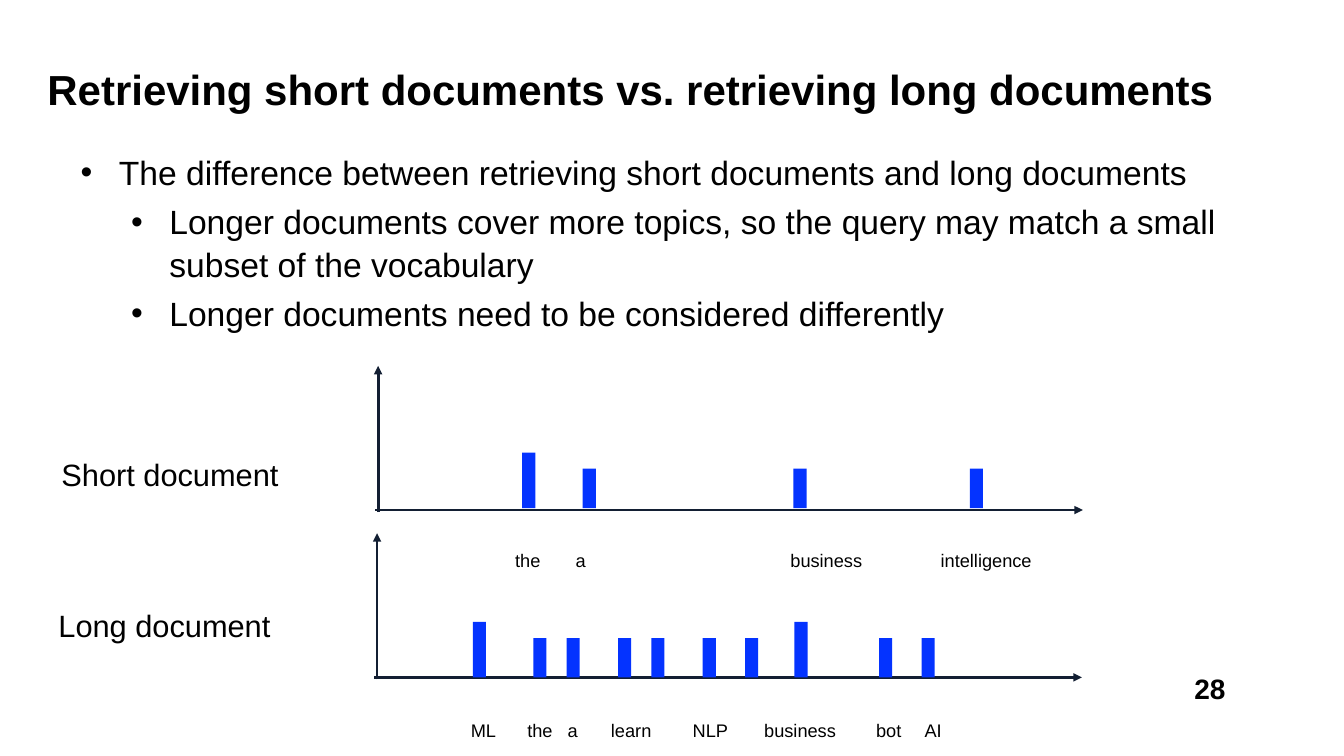
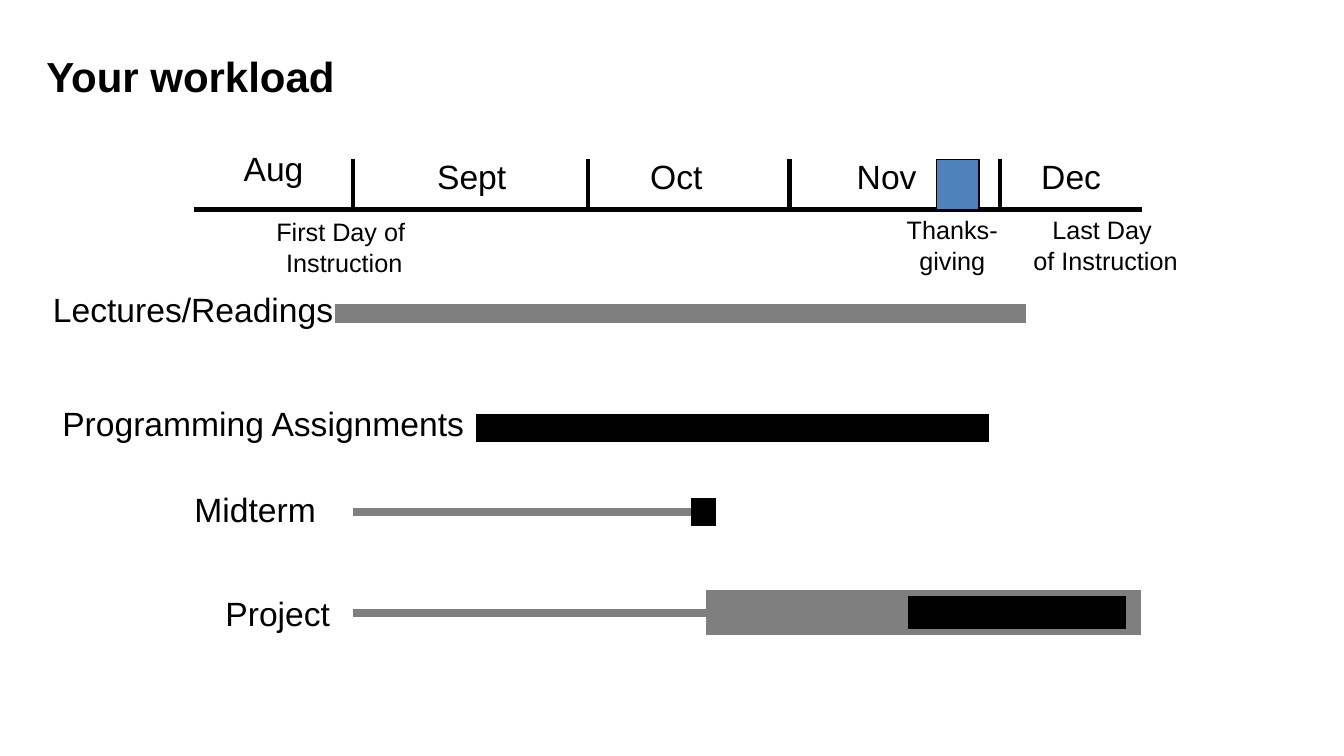
from pptx import Presentation
from pptx.dml.color import RGBColor
from pptx.enum.shapes import MSO_CONNECTOR, MSO_SHAPE
from pptx.enum.text import MSO_ANCHOR, MSO_AUTO_SIZE, PP_ALIGN
from pptx.oxml.ns import qn
from pptx.util import Inches, Pt
from lxml import etree

LEFT, CENTER = PP_ALIGN.LEFT, PP_ALIGN.CENTER
TOP = MSO_ANCHOR.TOP
FIT, FIXED = MSO_AUTO_SIZE.SHAPE_TO_FIT_TEXT, MSO_AUTO_SIZE.NONE
RECT, LINE = MSO_SHAPE.RECTANGLE, MSO_CONNECTOR.STRAIGHT
FONT = "Arial"
BLACK, GREY, NAVY = "000000", "7F7F7F", "131F33"
BLUE, STEEL = "0433FF", "4F81BD"


def color(code):
    """Turn a hex string into a colour."""
    return RGBColor.from_string(code)


def bullet(para, level):
    """Give a paragraph a hanging bullet at its level."""
    para.level = level
    props = para._p.get_or_add_pPr()
    props.set("marL", str(Inches(0.38 + 0.5 * level)))
    props.set("indent", str(Inches(-0.38)))
    etree.SubElement(props, qn("a:buFont")).set("typeface", FONT)
    etree.SubElement(props, qn("a:buChar")).set("char", "•")


def write(slide, text, x, y, w, h, size=24, bold=False, align=LEFT,
          wrap=False, inset=0.05, space=None, levels=None):
    """Add a text box with one paragraph for each line of text."""
    box = slide.shapes.add_textbox(Inches(x), Inches(y), Inches(w), Inches(h))
    frame = box.text_frame
    frame.word_wrap = wrap
    frame.auto_size = FIXED if wrap else FIT
    frame.vertical_anchor = TOP
    frame.margin_left = frame.margin_right = Inches(inset)
    frame.margin_top = frame.margin_bottom = Inches(inset)
    for i, line in enumerate(text.split("\n")):
        para = frame.add_paragraph() if i else frame.paragraphs[0]
        if levels:
            bullet(para, levels[i])
            if i:
                para.space_before = Pt(5)
        para.alignment = align
        if space:
            para.line_spacing = space
        run = para.add_run()
        run.text = line
        font = run.font
        font.name, font.size, font.bold = FONT, Pt(size), bold
        font.color.rgb = color(BLACK)


def title(slide, text, x, y, w, h):
    """Add the slide title."""
    write(slide, text, x, y, w, h, size=30, bold=True, wrap=True)


def line(slide, x1, y1, x2, y2, width, shade=BLACK, arrow=False):
    """Add a straight line, with an arrowhead at its end if asked."""
    link = slide.shapes.add_connector(
        LINE, Inches(x1), Inches(y1), Inches(x2), Inches(y2))
    link.line.color.rgb = color(shade)
    link.line.width = Pt(width)
    if arrow:
        stroke = link.line._get_or_add_ln()
        etree.SubElement(stroke, qn("a:tailEnd")).set("type", "triangle")
    etree.SubElement(link._element.spPr, qn("a:effectLst"))


def block(slide, x, y, w, h, fill, edge=None):
    """Add a filled rectangle."""
    rect = slide.shapes.add_shape(
        RECT, Inches(x), Inches(y), Inches(w), Inches(h))
    rect.shadow.inherit = False
    rect.fill.solid()
    rect.fill.fore_color.rgb = color(fill)
    if edge:
        rect.line.color.rgb = color(edge)
        rect.line.width = Pt(0.75)
    else:
        rect.line.fill.background()


def plot(slide, x, y, base, bars, tall, row, words):
    """Draw two axes, the bars standing on base and a row of words."""
    line(slide, x, y, x + 7.02, y, 2, NAVY, arrow=True)
    line(slide, x + 0.03, y + 0.02, x + 0.03, y - 1.43, 2, NAVY, arrow=True)
    for left in bars:
        height = 0.55 if left in tall else 0.39
        block(slide, left, base - height, 0.13, height, BLUE)
    for word, left, width in words:
        write(slide, word, left, row, width, 0.3, size=13, space=Pt(29))


def compare(slide):
    """Build the slide on short and long documents."""
    title(slide, "Retrieving short documents vs. retrieving long documents",
          0.42, 0.58, 11.99, 0.81)
    write(slide, "28", 11.8, 6.62, 0.4, 0.39, size=20, bold=True,
          align=CENTER, inset=0.04)
    write(slide,
          "The difference between retrieving short documents and long documents\n"
          "Longer documents cover more topics, so the query may match a small "
          "subset of the vocabulary\n"
          "Longer documents need to be considered differently",
          0.75, 1.44, 11.99, 1.83, wrap=True, space=1.05, levels=[0, 1, 1])
    plot(slide, 3.72, 5.06, 5.04, [5.18, 5.78, 7.87, 9.62], [5.18], 5.21,
         [("the", 5.06, 0.36), ("a", 5.66, 0.21),
          ("business", 7.79, 0.83), ("intelligence", 9.28, 1.02)])
    plot(slide, 3.71, 6.72, 6.72,
         [4.69, 5.29, 5.62, 6.13, 6.46, 6.97, 7.39, 7.88, 8.72, 9.14],
         [4.69, 7.88], 6.9,
         [("ML", 4.62, 0.36), ("the", 5.18, 0.36), ("a", 5.58, 0.21),
          ("learn", 6.01, 0.52), ("NLP", 6.82, 0.47),
          ("business", 7.53, 0.83), ("bot", 8.64, 0.36), ("AI", 9.12, 0.28)])
    for text, x, y, w in [("Short document", 0.56, 4.28, 2.27),
                          ("Long document", 0.53, 5.78, 2.22)]:
        write(slide, text, x, y, w, 0.45, size=22, space=Pt(40))


def workload(slide):
    """Build the slide with the term's timeline."""
    title(slide, "Your workload", 0.41, 0.45, 11.54, 0.72)
    line(slide, 1.92, 2.08, 11.33, 2.08, 4)
    for x in [3.5, 5.83, 7.83, 9.92]:
        line(slide, x, 1.58, x, 2.08, 3)
    block(slide, 9.29, 1.58, 0.42, 0.5, STEEL, edge=BLACK)
    for text, x, y, w in [("Aug ", 2.36, 1.42, 0.8),
                          ("Sept ", 4.28, 1.5, 0.89),
                          ("Oct ", 6.39, 1.5, 0.73),
                          ("Nov ", 8.44, 1.5, 0.8),
                          ("Dec ", 10.27, 1.5, 0.8),
                          ("Lectures/Readings", 0.47, 2.82, 2.89),
                          ("Programming Assignments", 0.56, 3.95, 4.1),
                          ("Midterm", 1.87, 4.8, 1.32),
                          ("Project", 2.18, 5.83, 1.15)]:
        write(slide, text, x, y, w, 0.48, align=CENTER)
    for text, x, y, w in [("First Day of \nInstruction", 2.63, 2.1, 1.57),
                          ("Thanks-\ngiving", 8.88, 2.08, 1.13),
                          ("Last Day \nof Instruction", 10.19, 2.08, 1.55)]:
        write(slide, text, x, y, w, 0.68, size=18, align=CENTER)
    for start, end, y, width, shade in [(3.32, 10.18, 3.11, 14, GREY),
                                        (4.72, 9.81, 4.25, 20, BLACK),
                                        (3.5, 7.01, 5.08, 6, GREY),
                                        (6.85, 7.1, 5.08, 20, BLACK),
                                        (3.5, 7.01, 6.08, 6, GREY),
                                        (7, 11.32, 6.08, 32.25, GREY),
                                        (9.01, 11.17, 6.08, 23.75, BLACK)]:
        line(slide, start, y, end, y, width, shade)


def main():
    """Build and save the slides."""
    deck = Presentation()
    deck.slide_width, deck.slide_height = Inches(13.33), Inches(7.5)
    for build in (compare, workload):
        build(deck.slides.add_slide(deck.slide_layouts[6]))
    deck.save("out.pptx")


if __name__ == "__main__":
    main()
